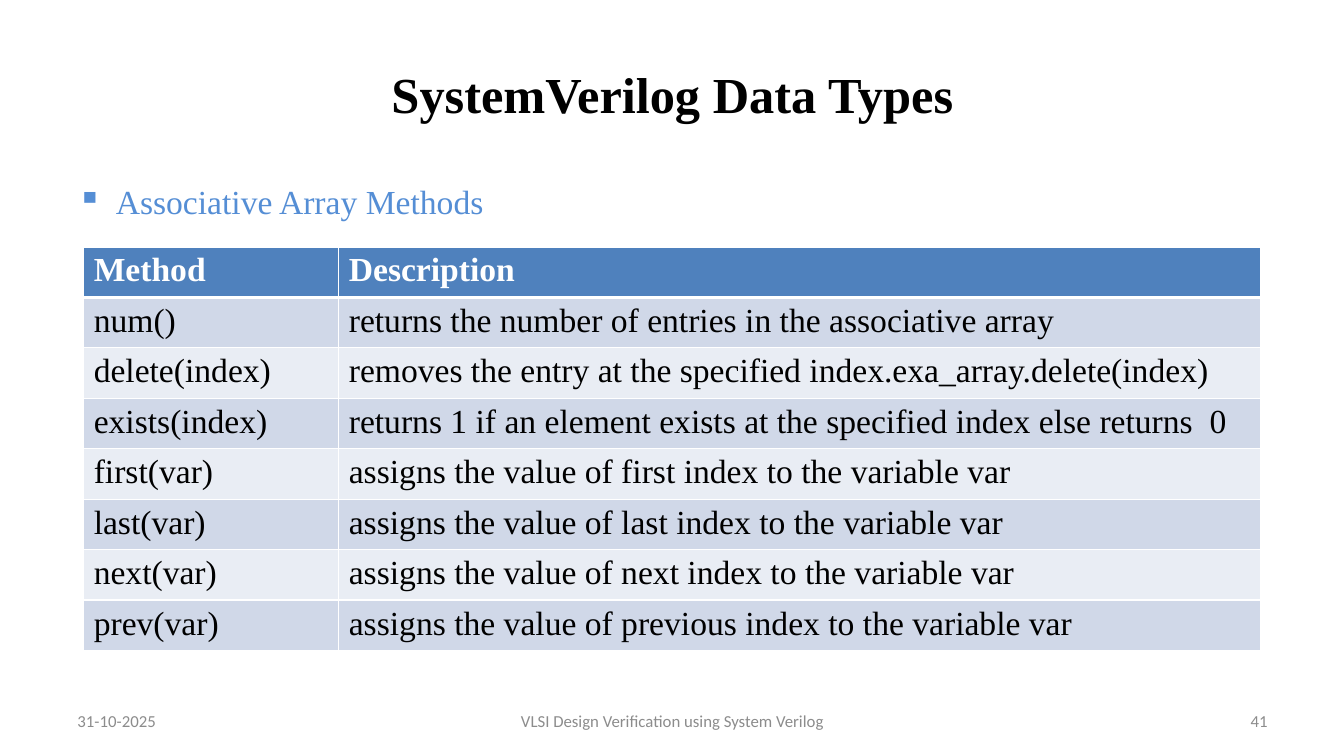
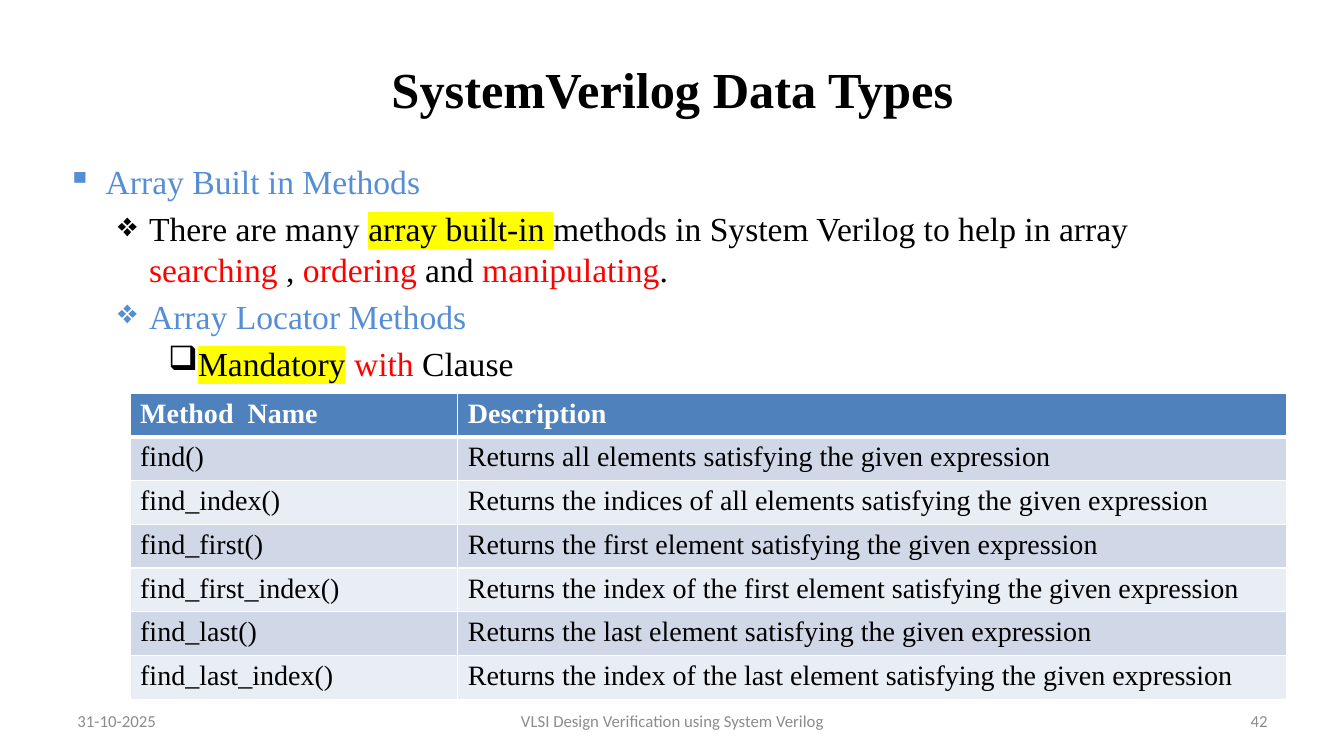
from lxml import etree
from pptx import Presentation
from pptx import util as u
from pptx.dml.color import RGBColor
from pptx.enum import text
from pptx.oxml.ns import qn

PX = 9144  # 100 px to the inch
WIDE, HIGH = 1333, 750
SERIF, SANS = "Times New Roman", "Calibri"
BLACK = RGBColor(0, 0, 0)
WHITE = RGBColor(255, 255, 255)
BLUE = RGBColor(0x55, 0x8E, 0xD5)
RED = RGBColor(255, 0, 0)
YELLOW = RGBColor(255, 255, 0)
GREY = RGBColor(0x8C, 0x8C, 0x8C)
HEAD = RGBColor(0x4F, 0x81, 0xBD)
BANDS = RGBColor(0xD0, 0xD8, 0xE8), RGBColor(0xE9, 0xED, 0xF4)
LEFT, MID, RIGHT = text.PP_ALIGN.LEFT, text.PP_ALIGN.CENTER, text.PP_ALIGN.RIGHT
# Bullet, left margin and hanging indent by level
LEVELS = ("▪", 38, 38), ("❖", 81, 31), ("❑", 125, 25)


def px(n):
    return u.Emu(n * PX)


def add_fill(node, color):
    fill = etree.SubElement(node, qn("a:solidFill"))
    etree.SubElement(fill, qn("a:srgbClr"), val=str(color))


def write(para, words, size=24, font=SERIF, color=BLACK, bold=False,
          align=LEFT, mark=None):
    """Append one formatted run to a paragraph."""
    para.alignment = align
    run = para.add_run()
    run.text = words
    face = run.font
    face.size, face.name, face.bold = u.Pt(size), font, bold
    face.color.rgb = color
    if mark:
        glow = etree.Element(qn("a:highlight"))
        etree.SubElement(glow, qn("a:srgbClr"), val=str(mark))
        run._r.rPr.find(qn("a:solidFill")).addnext(glow)


def add_box(slide, x, y, w, h, anchor=text.MSO_ANCHOR.MIDDLE):
    frame = slide.shapes.add_textbox(px(x), px(y), px(w), px(h)).text_frame
    frame.word_wrap = True
    frame.vertical_anchor = anchor
    return frame


def add_body(slide, x, y, items):
    """Each item is a level and its runs: (words, format)."""
    frame = add_box(slide, x, y, 1200, 495, text.MSO_ANCHOR.TOP)
    for i, (level, runs) in enumerate(items):
        para = frame.add_paragraph() if i else frame.paragraphs[0]
        sign, margin, hang = LEVELS[level]
        para.level = level
        props = para._p.get_or_add_pPr()
        props.set("marL", str(margin * PX))
        props.set("indent", str(-hang * PX))
        etree.SubElement(props, qn("a:buChar"), char=sign)
        if i:
            para.space_before = u.Pt(4.8)
        for words, style in runs:
            write(para, words, **style)


def add_lines(cell, top, bottom):
    props = cell._tc.get_or_add_tcPr()
    sides = ("L", 1), ("R", 1), ("T", top), ("B", bottom)
    for i, (side, width) in enumerate(sides):
        line = etree.Element(qn("a:ln" + side), w=str(u.Pt(width)))
        add_fill(line, WHITE)
        props.insert(i, line)


def add_grid(slide, x, y, cols, high, size, rows):
    grid = slide.shapes.add_table(len(rows), len(cols), px(x), px(y),
                                  px(sum(cols)), px(high * len(rows))).table
    for col, width in zip(grid.columns, cols):
        col.width = px(width)
    for r, row in enumerate(rows):
        grid.rows[r].height = px(high)
        for c, words in enumerate(row):
            cell = grid.cell(r, c)
            cell.fill.solid()
            cell.fill.fore_color.rgb = BANDS[(r - 1) % 2] if r else HEAD
            add_lines(cell, 3 if r == 1 else 1, 1 if r else 3)
            write(cell.text_frame.paragraphs[0], words, size=size,
                  color=BLACK if r else WHITE, bold=r == 0)


def add_page(deck, number, top):
    """Blank slide with the shared title and footer."""
    slide = deck.slides.add_slide(deck.slide_layouts[6])
    title = add_box(slide, 67, top, 1200, 125)
    write(title.paragraphs[0], "SystemVerilog Data Types", size=36,
          bold=True, align=MID)
    foot = ((67, 311, "31-10-2025", LEFT),
            (456, 422, "VLSI Design Verification using System Verilog", MID),
            (956, 311, str(number), RIGHT))
    for x, w, words, align in foot:
        write(add_box(slide, x, 695, w, 40).paragraphs[0], words, size=12,
              font=SANS, color=GREY, align=align)
    return slide


def add_assoc(deck):
    slide = add_page(deck, 41, 30)
    add_body(slide, 67, 175, [
        (0, [("Associative Array Methods", {"color": BLUE})])])
    value = "assigns the value of {} index to the variable var"
    steps = [("first", "first"), ("last", "last"), ("next", "next"),
             ("prev", "previous")]
    add_grid(slide, 83, 245, (253, 914), 47, 24, [
        ("Method", "Description"),
        ("num()", "returns the number of entries in the associative array"),
        ("delete(index)",
         "removes the entry at the specified index.exa_array.delete(index)"),
        ("exists(index)",
         "returns 1 if an element exists at the specified index else returns  0"),
        *[(name + "(var)", value.format(word)) for name, word in steps]])


def add_locate(deck):
    slide = add_page(deck, 42, 25)
    plain, blue, red, mark = {}, {"color": BLUE}, {"color": RED}, {"mark": YELLOW}
    add_body(slide, 57, 155, [
        (0, [("Array Built in Methods", blue)]),
        (1, [("There are many ", plain), ("array built-in ", mark),
             ("methods in System Verilog to help in array ", plain),
             ("searching", red), (" , ", plain), ("ordering", red),
             (" and ", plain), ("manipulating", red), (".", plain)]),
        (1, [("Array Locator Methods", blue)]),
        (2, [("Mandatory", mark), (" ", plain), ("with", red),
             (" Clause", plain)])])
    found = [("find", "all elements"),
             ("find_index", "the indices of all elements"),
             ("find_first", "the first element"),
             ("find_first_index", "the index of the first element"),
             ("find_last", "the last element"),
             ("find_last_index", "the index of the last element")]
    add_grid(slide, 129, 390, (325, 822), 41, 20, [
        ("Method  Name", "Description"),
        *[(name + "()", f"Returns {what} satisfying the given expression")
          for name, what in found]])


def main():
    deck = Presentation()
    deck.slide_width, deck.slide_height = px(WIDE), px(HIGH)
    add_assoc(deck)
    add_locate(deck)
    deck.save("out.pptx")


if __name__ == "__main__":
    main()
